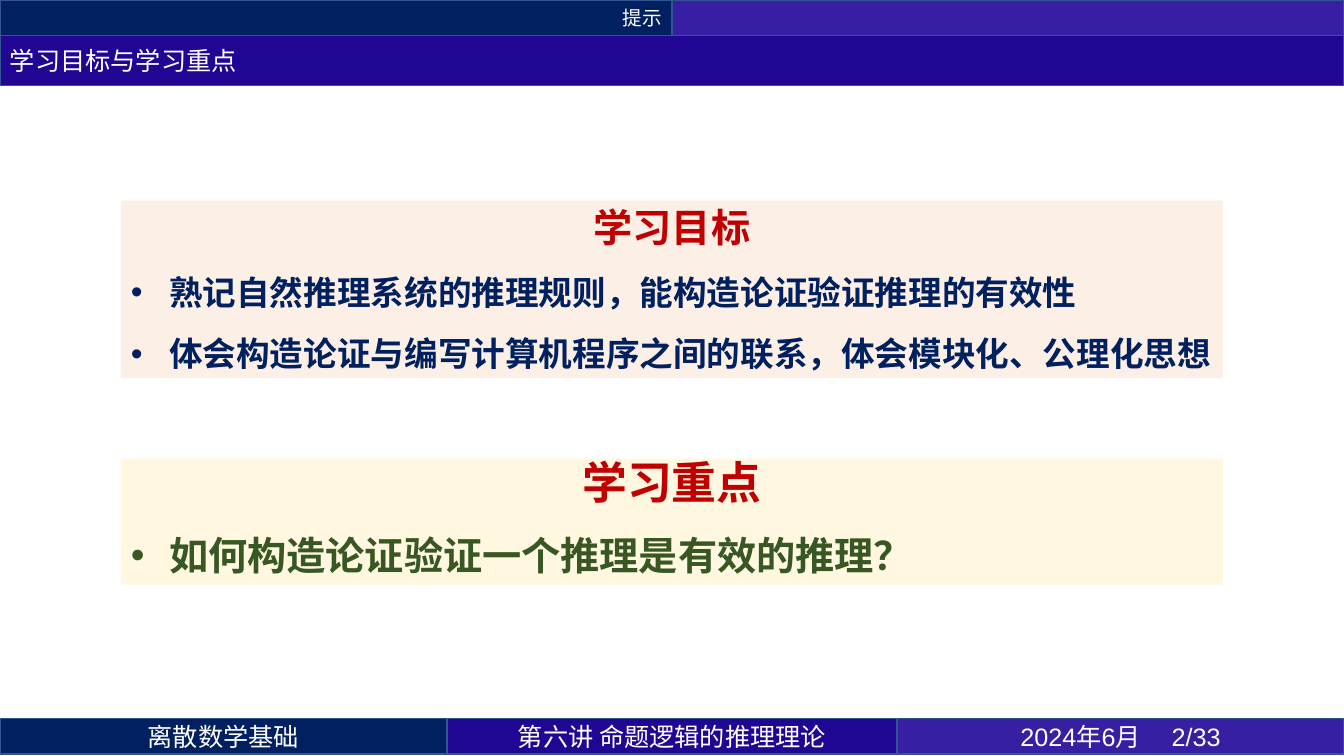
from lxml import etree
from pptx import Presentation
from pptx.dml.color import RGBColor
from pptx.enum.shapes import MSO_SHAPE
from pptx.enum.text import MSO_ANCHOR, MSO_AUTO_SIZE, PP_ALIGN
from pptx.oxml.ns import qn
from pptx.util import Inches, Pt

RECTANGLE = MSO_SHAPE.RECTANGLE
TOP, MIDDLE = MSO_ANCHOR.TOP, MSO_ANCHOR.MIDDLE
GROW = MSO_AUTO_SIZE.SHAPE_TO_FIT_TEXT
LEFT, CENTER, RIGHT = PP_ALIGN.LEFT, PP_ALIGN.CENTER, PP_ALIGN.RIGHT

WIDTH, HEIGHT = 13.33, 7.5
COLUMN, ROW = WIDTH / 100, HEIGHT / 150
BAR_ROWS = 7
CJK_FONT, LATIN_FONT = "Noto Sans CJK SC", "Arial"
COLORS = {
    "navy": "002060", "indigo": "210694", "violet": "371EA2",
    "border": "325491", "white": "FFFFFF", "red": "C00000",
    "green": "385723", "peach": "FBE5D6", "cream": "FFF2CC",
}


def rgb(name):
    return RGBColor.from_string(COLORS[name])


def add_rectangle(slide, column, row, columns, rows, fill):
    shape = slide.shapes.add_shape(
        RECTANGLE, Inches(column * COLUMN), Inches(row * ROW),
        Inches(columns * COLUMN), Inches(rows * ROW))
    shape.shadow.inherit = False
    shape.fill.solid()
    shape.fill.fore_color.rgb = rgb(fill)
    shape.text_frame.word_wrap = True
    return shape


def format_runs(paragraph, size, color, bold=False, font=CJK_FONT):
    for run in paragraph.runs:
        run.font.size = Pt(size)
        run.font.bold = bold
        run.font.color.rgb = rgb(color)
        run.font.name = font
        east_asian = etree.Element(qn("a:ea"), typeface=CJK_FONT)
        run.font._element.find(qn("a:latin")).addnext(east_asian)


def add_bar(slide, column, row, columns, rows, fill, text="", align=CENTER,
            size=18, font=CJK_FONT):
    shape = add_rectangle(slide, column, row, columns, rows, fill)
    shape.line.color.rgb = rgb("border")
    shape.line.width = Pt(1)
    shape.text_frame.vertical_anchor = MIDDLE
    if text:
        paragraph = shape.text_frame.paragraphs[0]
        paragraph.text = text
        paragraph.alignment = align
        format_runs(paragraph, size, "white", font=font)


def add_bullet(paragraph):
    properties = paragraph._p.get_or_add_pPr()
    indent = Inches(0.38)
    properties.set("marL", str(indent))
    properties.set("indent", str(-indent))
    etree.SubElement(properties, qn("a:buFont"), typeface=LATIN_FONT)
    etree.SubElement(properties, qn("a:buChar"), char="•")


def add_panel(slide, row, rows, fill, title, title_size, items, item_size,
              item_color, space_before):
    shape = add_rectangle(slide, 9, row, 82, rows, fill)
    shape.line.fill.background()
    color = shape.fill._xPr.find(qn("a:solidFill"))[0]
    etree.SubElement(color, qn("a:alpha"), val="60000")
    frame = shape.text_frame
    frame.vertical_anchor = TOP
    frame.auto_size = GROW
    frame.text = "\n".join([title, *items])
    for index, paragraph in enumerate(frame.paragraphs):
        paragraph.line_spacing = Pt(32)
        paragraph.space_before = Pt(space_before if index else 0)
        paragraph.space_after = Pt(6)
        if index:
            paragraph.alignment = LEFT
            add_bullet(paragraph)
            format_runs(paragraph, item_size, item_color, True, LATIN_FONT)
        else:
            paragraph.alignment = CENTER
            format_runs(paragraph, title_size, "red", True)


def main():
    presentation = Presentation()
    presentation.slide_width = Inches(WIDTH)
    presentation.slide_height = Inches(HEIGHT)
    slide = presentation.slides.add_slide(presentation.slide_layouts[6])

    add_bar(slide, 0, 0, 50, BAR_ROWS, "navy", "提示", RIGHT, 14)
    add_bar(slide, 50, 0, 50, BAR_ROWS, "violet")

    footers = [
        (33.25, "navy", "离散数学基础", CJK_FONT),
        (33.5, "indigo", "第六讲 命题逻辑的推理理论", CJK_FONT),
        (33.25, "violet", "2024年6月 \t2/33", LATIN_FONT),
    ]
    column = 0
    for columns, fill, text, font in footers:
        add_bar(slide, column, 142.6, columns, BAR_ROWS, fill, text, font=font)
        column += columns

    add_bar(slide, 0, BAR_ROWS, 100, 10, "indigo", "学习目标与学习重点", LEFT)

    add_panel(slide, 39.8, 35.2, "peach", "学习目标", 28, [
        "熟记自然推理系统的推理规则，能构造论证验证推理的有效性",
        "体会构造论证与编写计算机程序之间的联系，体会模块化、公理化思想",
    ], 24, "navy", 6)
    add_panel(slide, 91, 25, "cream", "学习重点", 32, [
        "如何构造论证验证一个推理是有效的推理？",
    ], 28, "green", 12)

    presentation.save("out.pptx")


if __name__ == "__main__":
    main()
